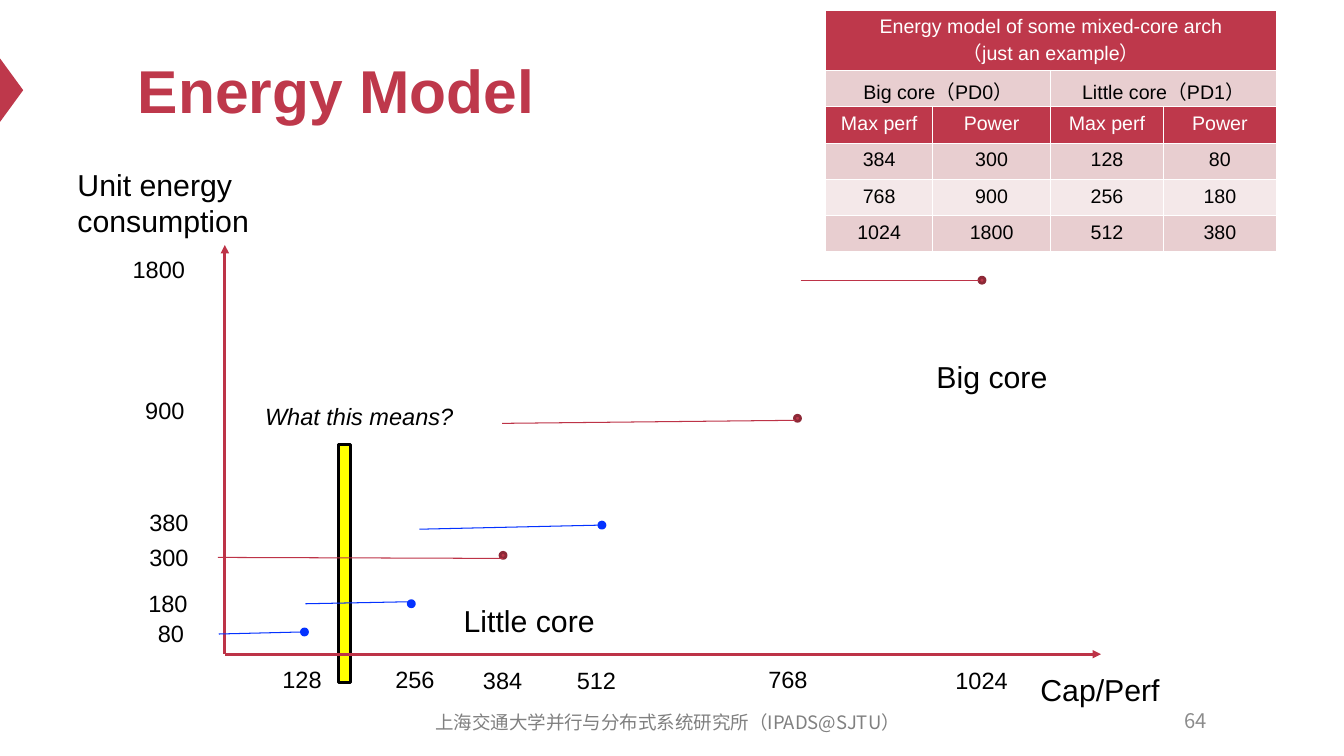
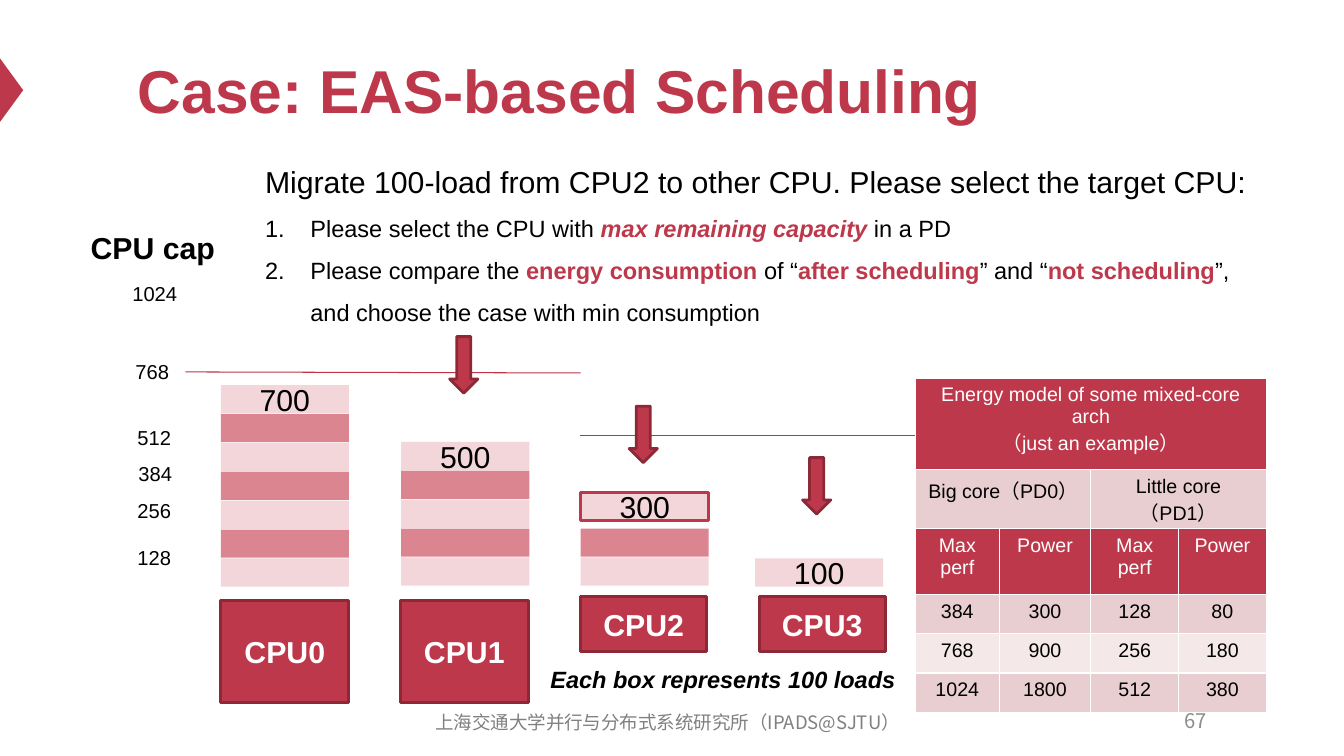
from dataclasses import dataclass
from typing import NamedTuple, Optional

from lxml.etree import SubElement
from pptx import Presentation
from pptx.dml.color import RGBColor
from pptx.enum.shapes import MSO_CONNECTOR as Link, MSO_SHAPE as Preset
from pptx.enum.text import MSO_ANCHOR as Anchor, MSO_AUTO_SIZE as AutoSize, PP_ALIGN as Align
from pptx.oxml.ns import qn
from pptx.util import Inches, Pt

SLIDE_WIDTH, SLIDE_HEIGHT = Inches(13.33), Inches(7.5)
COLUMN, ROW = SLIDE_WIDTH / 13.33, SLIDE_HEIGHT / 7.5

RED, DARK_RED, AXIS_RED, BLUE = "BE384B", "8D2937", "BD3347", "0432FF"
LOAD_LIGHT, LOAD_DARK = "F3D6DA", "DB8591"
BAND, PALE_BAND = "E8CED0", "F4E8E9"
BLACK, WHITE, YELLOW = "000000", "FFFFFF", "FFFF00"
LATIN, CHINESE = "Arial", "Noto Sans CJK SC"
FOOTER = "上海交通大学并行与分布式系统研究所（IPADS@SJTU）"
TABLE_TITLE = "Energy model of some mixed-core arch\n（just an example）"


class Box(NamedTuple):
    column: float
    row: float
    columns: float
    rows: float

    def emu(self) -> tuple:
        return (round(self.column * COLUMN), round(self.row * ROW),
                round(self.columns * COLUMN), round(self.rows * ROW))


class Spot(NamedTuple):
    column: float
    row: float


class Style(NamedTuple):
    size: float
    colour: str = BLACK
    bold: bool = False
    italic: bool = False
    align: Align = Align.LEFT
    face: str = LATIN


@dataclass(frozen=True)
class Level:
    perf: int
    power: int
    dot: Spot
    start: Spot
    end: Spot
    perf_label: Spot
    power_label: Spot


@dataclass(frozen=True)
class Cpu:
    name: str
    box: Box
    stack: Spot
    loads: int
    lift: float = 0
    outline: Optional[str] = None


HEADING = Style(43.2, RED, bold=True)
LARGE = Style(21.6)
LARGE_CENTRED = Style(21.6, align=Align.CENTER)
CPU_NAME = Style(21.6, WHITE, bold=True, align=Align.CENTER)
MEDIUM = Style(16.8)
TICK = Style(16.8, align=Align.CENTER)
SMALL_TICK = Style(14.4, align=Align.CENTER)

LITTLE = [
    Level(128, 80, Spot(2.99, 6.24), Spot(2.17, 6.29), Spot(2.99, 6.27),
          Spot(2.52, 6.55), Spot(1.22, 6.09)),
    Level(256, 180, Spot(4.05, 5.96), Spot(3.03, 5.99), Spot(4.06, 5.97),
          Spot(3.64, 6.55), Spot(1.19, 5.79)),
    Level(512, 380, Spot(5.94, 5.18), Spot(4.16, 5.25), Spot(5.94, 5.21),
          Spot(5.44, 6.56), Spot(1.2, 4.99)),
]
BIG = [
    Level(384, 300, Spot(4.96, 5.48), Spot(2.16, 5.53), Spot(4.99, 5.54),
          Spot(4.51, 6.56), Spot(1.2, 5.34)),
    Level(768, 900, Spot(7.88, 4.12), Spot(4.98, 4.2), Spot(7.89, 4.17),
          Spot(7.34, 6.55), Spot(1.16, 3.88)),
    Level(1024, 1800, Spot(9.71, 2.75), Spot(7.94, 2.78), Spot(9.71, 2.78),
          Spot(9.26, 6.56), Spot(1.1, 2.48)),
]
CPUS = [
    Cpu("CPU0", Box(2.19, 5.96, 1.27, 1.01), Spot(2.19, 5.54), 7),
    Cpu("CPU1", Box(3.97, 5.96, 1.27, 1.01), Spot(3.98, 5.53), 5),
    Cpu("CPU2", Box(5.76, 5.92, 1.25, 0.54), Spot(5.76, 5.53), 3, 0.07, RED),
    Cpu("CPU3", Box(7.53, 5.92, 1.25, 0.54), Spot(7.49, 5.54), 1),
]
LOAD_STEP = 1.72 / 6
CAPACITY_LABELS = {
    "128": Box(1.2, 5.36, 0.66, 0.34),
    "256": Box(1.2, 4.89, 0.66, 0.34),
    "384": Box(1.21, 4.53, 0.66, 0.34),
    "512": Box(1.2, 4.17, 0.66, 0.34),
    "768": Box(1.18, 3.52, 0.66, 0.34),
    "1024": Box(1.13, 2.74, 0.81, 0.34),
}
STEPS = [
    [("Please select the CPU with ", False, False), ("max remaining capacity ", True, True),
     ("in a PD", False, False)],
    [("Please compare the ", False, False), ("energy consumption ", True, False),
     ("of “", False, False), ("after scheduling", True, False), ("” and “", False, False),
     ("not scheduling", True, False),
     ("”, and choose the case with min consumption", False, False)],
]


def rgb(colour: str) -> RGBColor:
    return RGBColor.from_string(colour)


def set_style(paragraph, style: Style) -> None:
    paragraph.alignment = style.align
    font = paragraph.font
    font.size, font.name = Pt(style.size), style.face
    font.bold, font.italic = style.bold, style.italic
    font.color.rgb = rgb(style.colour)


def write(frame, text: str, style: Style) -> None:
    frame.text = text
    for paragraph in frame.paragraphs:
        set_style(paragraph, style)


def add_text(slide, box: Box, text: str, style: Style, middle: bool = False, wrap: bool = True):
    label = slide.shapes.add_textbox(*box.emu())
    frame = label.text_frame
    frame.word_wrap = wrap
    write(frame, text, style)
    if middle:
        frame.vertical_anchor = Anchor.MIDDLE
    else:
        frame.auto_size = AutoSize.SHAPE_TO_FIT_TEXT
    return label


def add_block(slide, preset: Preset, box: Box, fill: str, outline: Optional[str] = None,
              text: str = "", style: Style = LARGE_CENTRED):
    block = slide.shapes.add_shape(preset, *box.emu())
    block.shadow.inherit = False
    block.fill.solid()
    block.fill.fore_color.rgb = rgb(fill)
    if outline:
        block.line.color.rgb = rgb(outline)
        block.line.width = Pt(2)
    else:
        block.line.fill.background()
    if text:
        block.text_frame.vertical_anchor = Anchor.MIDDLE
        write(block.text_frame, text, style)
    return block


def add_line(slide, start: Spot, end: Spot, colour: str, width: float = 0.75, arrow: bool = False):
    line = slide.shapes.add_connector(
        Link.STRAIGHT, round(start.column * COLUMN), round(start.row * ROW),
        round(end.column * COLUMN), round(end.row * ROW))
    line.line.color.rgb = rgb(colour)
    line.line.width = Pt(width)
    properties = line.element.spPr
    if arrow:
        SubElement(properties.find(qn("a:ln")), qn("a:tailEnd"), type="triangle")
    SubElement(properties, qn("a:effectLst"))
    return line


def set_borders(cell) -> None:
    properties = cell._tc.get_or_add_tcPr()
    for side in "LRTB":
        border = SubElement(properties, qn(f"a:ln{side}"), w=str(Pt(1)))
        fill = SubElement(border, qn("a:solidFill"))
        SubElement(fill, qn("a:srgbClr"), val=WHITE)


def add_energy_table(slide, box: Box, columns: list[float], rows: list[float]) -> None:
    table = slide.shapes.add_table(len(rows), len(columns), *box.emu()).table
    table.first_row = table.horz_banding = False
    for column, width in zip(table.columns, columns):
        column.width = round(width * COLUMN)
    for row, height in zip(table.rows, rows):
        row.height = round(height * ROW)
    table.cell(0, 0).merge(table.cell(0, 3))
    for left in (0, 2):
        table.cell(1, left).merge(table.cell(1, left + 1))
    content = [
        (RED, WHITE, [TABLE_TITLE, "", "", ""]),
        (BAND, BLACK, ["Big core（PD0）", "", "Little core（PD1）", ""]),
        (RED, WHITE, ["Max perf", "Power"] * 2),
    ]
    for fill, big, little in zip((BAND, PALE_BAND, BAND), BIG, LITTLE):
        content.append((fill, BLACK, [big.perf, big.power, little.perf, little.power]))
    for r, (fill, colour, values) in enumerate(content):
        for c, value in enumerate(values):
            cell = table.cell(r, c)
            cell.margin_left = cell.margin_right = Inches(0.12)
            cell.margin_top = cell.margin_bottom = Inches(0.06)
            set_borders(cell)
            cell.fill.solid()
            cell.fill.fore_color.rgb = rgb(fill)
            if not cell.is_spanned:
                write(cell.text_frame, str(value), Style(14, colour, align=Align.CENTER))


def add_base(deck, heading: str, number: int):
    slide = deck.slides.add_slide(deck.slide_layouts[6])
    marker = add_block(slide, Preset.ISOSCELES_TRIANGLE, Box(-0.2, 0.78, 0.63, 0.23), RED)
    marker.rotation = 90
    add_text(slide, Box(1.27, 0.3, 10.8, 1.18), heading, HEADING, middle=True)
    add_text(slide, Box(9.27, 6.95, 2.8, 0.4), str(number),
             Style(14.4, "8C8C8C", align=Align.RIGHT, face=CHINESE), middle=True)
    add_text(slide, Box(4.02, 6.96, 5.2, 0.4), FOOTER,
             Style(13.2, "808080", align=Align.CENTER, face=CHINESE), middle=True)
    return slide


def add_levels(slide, levels: list[Level], line: str, fill: str, outline: str) -> None:
    for level in levels:
        add_block(slide, Preset.OVAL, Box(*level.dot, 0.06, 0.06), fill, outline)
        add_line(slide, level.start, level.end, line)
        for value, spot in ((level.perf, level.perf_label), (level.power, level.power_label)):
            add_text(slide, Box(*spot, 0.95, 0.38), str(value), TICK)


def build_energy_model(deck) -> None:
    slide = add_base(deck, "Energy Model", 64)
    add_block(slide, Preset.RECTANGLE, Box(3.36, 4.41, 0.12, 2.36), YELLOW, BLACK)
    origin = Spot(2.23, 6.49)
    for tip in (Spot(2.23, 2.43), Spot(10.92, 6.49)):
        add_line(slide, origin, tip, AXIS_RED, 2, arrow=True)
    add_text(slide, Box(0.67, 1.6, 2.13, 0.83), "Unit energy consumption", LARGE)
    add_text(slide, Box(10.22, 6.61, 1.61, 0.46), "Cap/Perf", LARGE)
    add_levels(slide, LITTLE, BLUE, BLUE, BLUE)
    add_levels(slide, BIG, AXIS_RED, RED, DARK_RED)
    add_text(slide, Box(4.5, 5.93, 1.72, 0.46), "Little core", LARGE)
    add_text(slide, Box(9.19, 3.51, 1.64, 0.46), "Big core", LARGE)
    add_energy_table(slide, Box(8.19, 0.1, 4.47, 2.4), [1.06, 1.17, 1.12, 1.12],
                     [0.6] + [0.36] * 5)
    add_text(slide, Box(2.53, 3.94, 2.65, 0.38), "What this means?", Style(16.8, italic=True))


def add_task(slide) -> None:
    task = add_text(slide, Box(2.53, 1.39, 9.95, 1.87),
                    "Migrate 100-load from CPU2 to other CPU. Please select the target CPU:", LARGE)
    frame = task.text_frame
    for step in STEPS:
        paragraph = frame.add_paragraph()
        properties = paragraph._p.get_or_add_pPr()
        properties.set("marL", str(Inches(0.45)))
        properties.set("indent", str(-Inches(0.45)))
        paragraph.line_spacing = 1.5
        SubElement(properties, qn("a:buAutoNum"), type="arabicPeriod")
        set_style(paragraph, MEDIUM)
        for words, strong, italic in step:
            run = paragraph.add_run()
            run.text = words
            if strong:
                run.font.bold, run.font.italic = True, italic
                run.font.color.rgb = rgb(RED)
    frame.paragraphs[0].line_spacing = 1.5


def add_cpu(slide, cpu: Cpu) -> None:
    add_block(slide, Preset.RECTANGLE, cpu.box, RED, DARK_RED, cpu.name, CPU_NAME)
    for i in range(cpu.loads):
        top = i == cpu.loads - 1
        row = cpu.stack.row - i * LOAD_STEP - (cpu.lift if top else 0)
        add_block(slide, Preset.RECTANGLE, Box(cpu.stack.column, row, 1.27, 0.28),
                  LOAD_DARK if i % 2 else LOAD_LIGHT, cpu.outline if top else None,
                  str(cpu.loads * 100) if top else "")


def build_scheduling_case(deck) -> None:
    slide = add_base(deck, "Case: EAS-based Scheduling", 67)
    for cpu in CPUS:
        add_cpu(slide, cpu)
    capacities = {text: add_text(slide, box, text, SMALL_TICK)
                  for text, box in CAPACITY_LABELS.items()}
    big_limit = add_line(slide, Spot(1.84, 3.69), Spot(5.76, 3.7), AXIS_RED)
    big_limit.begin_connect(capacities["768"], 3)
    add_line(slide, Spot(5.75, 4.32), Spot(9.66, 4.32), AXIS_RED)
    add_task(slide)
    for target in (Spot(4.46, 3.34), Spot(6.24, 4.03), Spot(7.96, 4.54)):
        add_block(slide, Preset.DOWN_ARROW, Box(*target, 0.28, 0.56), RED, DARK_RED)
    add_energy_table(slide, Box(9.08, 3.75, 3.48, 3.12), [0.83, 0.91, 0.87, 0.87],
                     [0.91, 0.39, 0.65, 0.39, 0.39, 0.39])
    add_text(slide, Box(0.8, 2.23, 1.45, 0.46), "CPU cap", Style(21.6, bold=True), wrap=False)
    add_text(slide, Box(5.36, 6.55, 3.68, 0.38), "Each box represents 100 loads",
             Style(16.8, bold=True, italic=True))


def main() -> None:
    deck = Presentation()
    deck.slide_width, deck.slide_height = SLIDE_WIDTH, SLIDE_HEIGHT
    build_energy_model(deck)
    build_scheduling_case(deck)
    deck.save("out.pptx")


if __name__ == "__main__":
    main()
